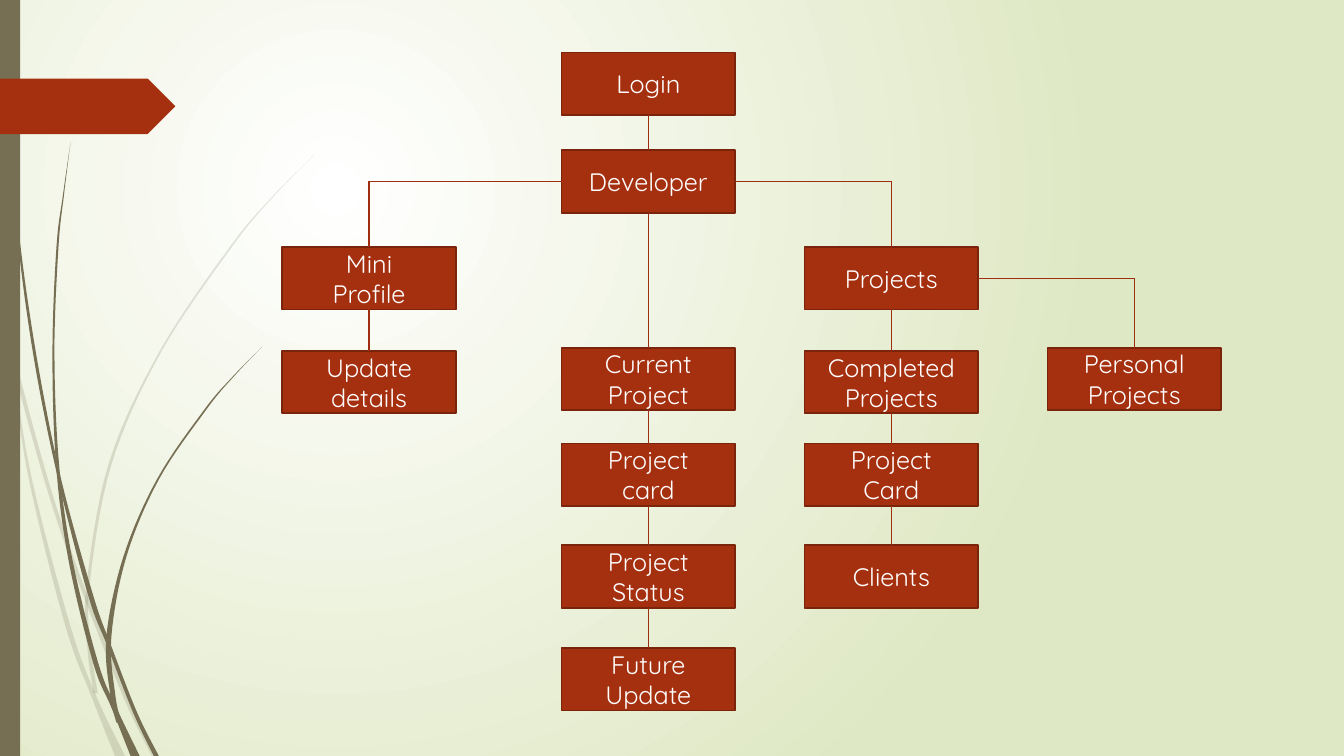
from dataclasses import dataclass

from lxml import etree
from pptx import Presentation
from pptx import util as u
from pptx.dml.color import RGBColor
from pptx.enum import shapes, text
from pptx.oxml.ns import qn

PX = 9144  # EMU per px, 100 px to the inch


@dataclass(frozen=True)
class Theme:
    red: str = "A53010"
    box_edge: str = "7A240C"
    link: str = "9E2E0F"
    olive: str = "766F54"
    white: str = "FFFFFF"
    pale_green: str = "DFE8C4"
    font: str = "Quicksand"
    text_size: float = 18
    edge_width: float = 1.25
    link_width: float = 0.75


def smooth(points, steps=8):
    """Catmull-Rom curve through points of any dimension."""
    padded = [points[0], *points, points[-1]]
    curve = []
    for a, b, c, d in zip(padded, padded[1:], padded[2:], padded[3:]):
        for i in range(steps):
            t = i / steps
            curve.append([
                q + 0.5 * t * (r - p + t * (2 * p - 5 * q + 4 * r - s + t * (3 * (q - r) + s - p)))
                for p, q, r, s in zip(a, b, c, d)])
    return curve + [list(points[-1])]


class Deck:
    def __init__(self, theme, width, height):
        self.theme = theme
        self.prs = Presentation()
        self.prs.slide_width, self.prs.slide_height = width * PX, height * PX
        self.slide = self.prs.slides.add_slide(self.prs.slide_layouts[6])

    def background(self, inner, outer):
        fill = self.slide.background.fill
        fill.gradient()
        for stop, color, position in zip(fill.gradient_stops, (inner, outer), (0, 1)):
            stop.color.rgb = RGBColor.from_string(color)
            stop.position = position
        lin = next(self.slide.background._cSld.iter(qn("a:lin")))
        radial = etree.Element(qn("a:path"), path="circle")
        etree.SubElement(radial, qn("a:fillToRect"), l="50000", t="50000", r="100000", b="100000")
        lin.getparent().replace(lin, radial)

    def paint(self, sp, color, opacity=100):
        sp.shadow.inherit = False
        sp.fill.solid()
        sp.fill.fore_color.rgb = RGBColor.from_string(color)
        sp.line.fill.background()
        if opacity < 100:
            rgb = next(sp._element.spPr.iter(qn("a:srgbClr")))
            etree.SubElement(rgb, qn("a:alpha"), val=str(opacity * 1000))

    def shape(self, kind, x, y, w, h, color):
        sp = self.slide.shapes.add_shape(kind, x * PX, y * PX, w * PX, h * PX)
        self.paint(sp, color)
        return sp

    def blade(self, spine, opacity):
        """Grass blade from (x, y, width) points along its middle."""
        curve = smooth(spine)
        left = [((x - w / 2) * PX, y * PX) for x, y, w in curve]
        right = [((x + w / 2) * PX, y * PX) for x, y, w in curve]
        outline = left + right[::-1]
        builder = self.slide.shapes.build_freeform(*outline[0], scale=1.0)
        builder.add_line_segments(outline[1:], close=True)
        self.paint(builder.convert_to_shape(), self.theme.olive, opacity)

    def box(self, label, x, y, w, h):
        th = self.theme
        sp = self.shape(shapes.MSO_SHAPE.RECTANGLE, x, y, w, h, th.red)
        sp.line.color.rgb = RGBColor.from_string(th.box_edge)
        sp.line.width = u.Pt(th.edge_width)
        tf = sp.text_frame
        tf.word_wrap = True
        tf.vertical_anchor = text.MSO_ANCHOR.MIDDLE
        p = tf.paragraphs[0]
        p.text = label
        p.alignment = text.PP_ALIGN.CENTER
        p.font.name, p.font.size = th.font, u.Pt(th.text_size)
        p.font.color.rgb = RGBColor.from_string(th.white)

    def line(self, x1, y1, x2, y2):
        cxn = self.slide.shapes.add_connector(
            shapes.MSO_CONNECTOR.STRAIGHT, x1 * PX, y1 * PX, x2 * PX, y2 * PX)
        cxn.line.color.rgb = RGBColor.from_string(self.theme.link)
        cxn.line.width = u.Pt(self.theme.link_width)
        etree.SubElement(cxn._element.spPr, qn("a:effectLst"))


# Grass blades: (x, y, width) along each spine
BACK_GRASS = [
    [(0, 290, 3), (12, 350, 4), (38, 449, 4), (60, 521, 4), (86, 594, 4),
     (125, 693, 4), (153, 750, 5)],
    [(11, 350, 1), (29, 470, 3), (67, 620, 5), (94, 693, 5), (119, 750, 10)],
    [(312, 153, 0), (268, 198, 1), (229, 245, 2), (159, 349, 2), (109, 461, 3),
     (87, 584, 3), (89, 646, 4), (95, 688, 4)],
]
FRONT_GRASS = [
    [(3, 0, 1), (8, 109, 1), (18, 233, 2), (35, 355, 3), (59, 475, 3), (90, 591, 5),
     (108, 640, 4), (134, 707, 4), (155, 750, 5)],
    [(70, 141, 0), (63, 193, 1), (57, 245, 2), (53, 349, 2), (57, 460, 3), (70, 556, 4),
     (95, 658, 5), (113, 702, 5), (134, 750, 9)],
    [(260, 344, 0), (231, 374, 1), (204, 406, 2), (157, 475, 2), (124, 552, 3),
     (108, 632, 5), (112, 690, 5), (118, 717, 5)],
]

# Site map: name -> (label, left, top)
BOX_W, BOX_H = 172, 62
PROFILE_X, MAIN_X, PROJECTS_X, PERSONAL_X = 280, 557, 798, 1039
BOXES = {
    "login": ("Login", MAIN_X, 52),
    "developer": ("Developer", MAIN_X, 149),
    "projects": ("Projects", PROJECTS_X, 245),
    "profile": ("Mini\nProfile", PROFILE_X, 245),
    "details": ("Update\ndetails", PROFILE_X, 348),
    "completed": ("Completed\nProjects", PROJECTS_X, 348),
    "current": ("Current\nProject", MAIN_X, 345),
    "future": ("Future\nUpdate", MAIN_X, 643),
    "status": ("Project\nStatus", MAIN_X, 541),
    "current card": ("Project\ncard", MAIN_X, 440),
    "clients": ("Clients", PROJECTS_X, 541),
    "completed card": ("Project\nCard", PROJECTS_X, 440),
    "personal": ("Personal\nProjects", PERSONAL_X, 345),
}
CHAINS = [
    ("login", "developer", "current", "current card", "status", "future"),
    ("developer", "profile", "details"),
    ("developer", "projects", "completed", "completed card", "clients"),
    ("projects", "personal"),
]


def link(deck, parent, child):
    """Straight down within a column, otherwise sideways and then down."""
    _, px, py = BOXES[parent]
    _, cx, cy = BOXES[child]
    middle = cx + BOX_W // 2
    start = py + BOX_H
    if px != cx:
        start = py + BOX_H // 2
        deck.line(px + BOX_W if cx > px else px, start, middle, start)
    deck.line(middle, start, middle, cy)


def main():
    th = Theme()
    deck = Deck(th, 1333, 750)

    # Backdrop
    deck.background(th.white, th.pale_green)
    for blades, opacity in ((BACK_GRASS, 20), (FRONT_GRASS, 100)):
        for spine in blades:
            deck.blade(spine, opacity)
    deck.shape(shapes.MSO_SHAPE.RECTANGLE, 0, 0, 20, 750, th.olive)
    deck.shape(shapes.MSO_SHAPE.PENTAGON, 0, 78, 174, 55, th.red)

    # Site map
    for label, x, y in BOXES.values():
        deck.box(label, x, y, BOX_W, BOX_H)
    for chain in CHAINS:
        for parent, child in zip(chain, chain[1:]):
            link(deck, parent, child)

    deck.prs.save("out.pptx")


if __name__ == "__main__":
    main()
